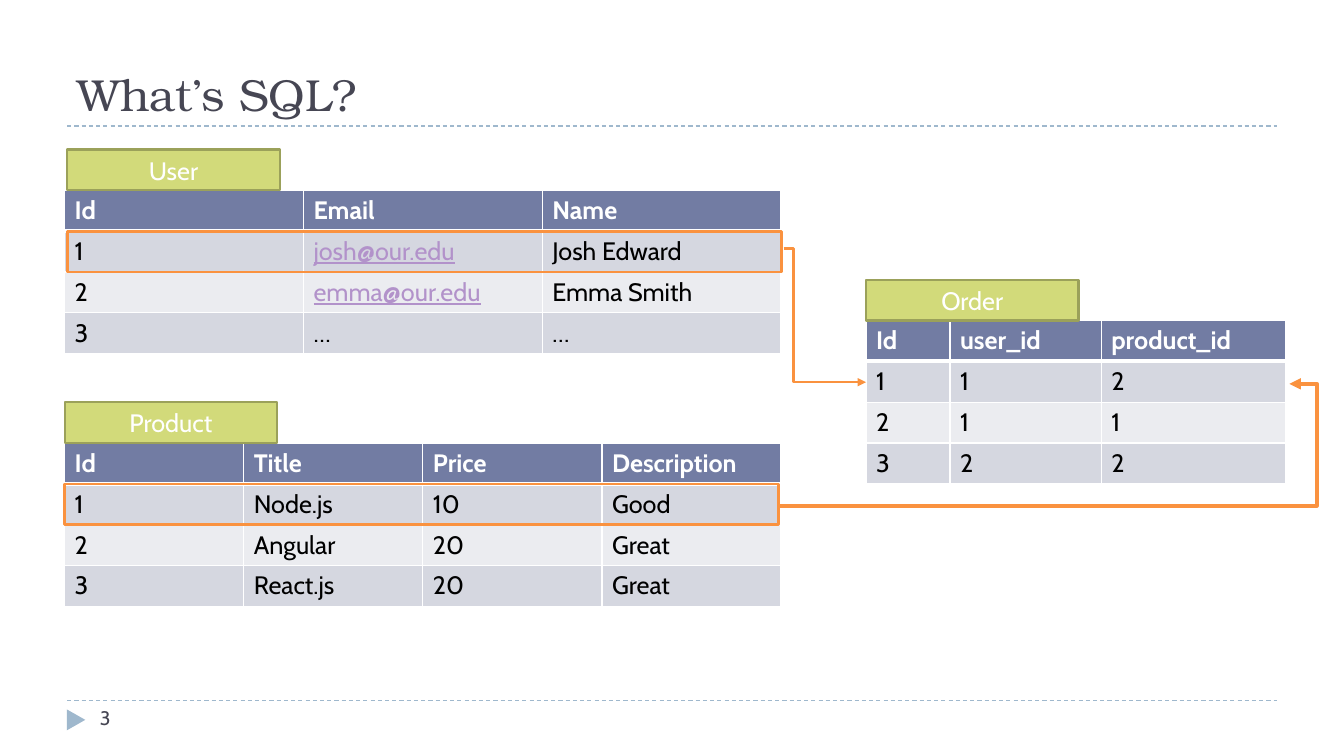
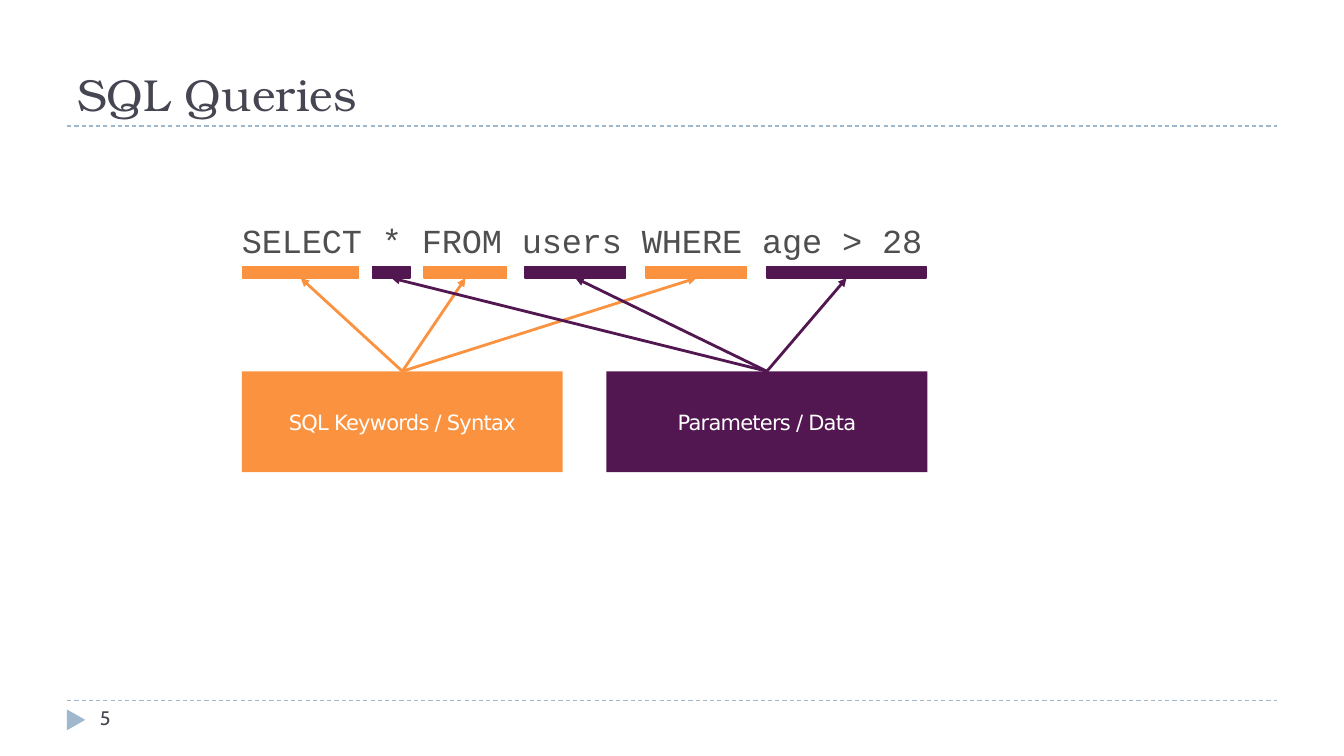
from dataclasses import dataclass

from lxml import etree
from pptx import Presentation
from pptx import util as u
from pptx.dml import color
from pptx.enum import dml, shapes, text
from pptx.oxml import ns

COLUMNS, ROWS = 160, 90
SLIDE_WIDTH, SLIDE_HEIGHT = u.Inches(13.33), u.Inches(7.5)


@dataclass(frozen=True)
class Theme:
    ink: str = "464653"
    rule: str = "9FB8CD"
    header: str = "727CA3"
    odd_row: str = "D5D7E0"
    even_row: str = "EBECF0"
    tag: str = "D2DA7A"
    tag_edge: str = "9BA15A"
    mail: str = "B292CA"
    accent: str = "FA923F"
    data: str = "521751"
    code: str = "4F4F4F"
    white: str = "FFFFFF"
    black: str = "000000"
    title_font: str = "TeX Gyre Bonum"
    body_font: str = "Cabin"
    code_font: str = "Courier New"
    label_font: str = "DejaVu Sans"
    title_size: int = 32
    code_size: int = 24
    body_size: int = 18
    label_size: int = 15
    number_size: int = 14


THEME = Theme()


def across(columns):
    return u.Emu(round(SLIDE_WIDTH * columns / COLUMNS))


def down(rows):
    return u.Emu(round(SLIDE_HEIGHT * rows / ROWS))


@dataclass(frozen=True)
class Box:
    left: float
    top: float
    width: float
    height: float

    @property
    def frame(self):
        return (across(self.left), down(self.top),
                across(self.width), down(self.height))


def rgb(value):
    return color.RGBColor.from_string(value)


def write(frame, words, font, size, ink, bold=False, underline=False,
          align=text.PP_ALIGN.LEFT, spacing=0):
    frame.word_wrap = True
    para = frame.paragraphs[0]
    para.text = words
    para.alignment = align
    span = para.runs[0]
    span.font.name = font
    span.font.size = u.Pt(size)
    span.font.bold = bold
    span.font.underline = underline
    span.font.color.rgb = rgb(ink)
    if spacing:
        span.font._element.set("spc", str(spacing))


def add_block(page, box, fill=None, edge=None, weight=1,
              kind=shapes.MSO_SHAPE.RECTANGLE):
    block = page.shapes.add_shape(kind, *box.frame)
    block.shadow.inherit = False
    if fill:
        block.fill.solid()
        block.fill.fore_color.rgb = rgb(fill)
    else:
        block.fill.background()
    if edge:
        block.line.color.rgb = rgb(edge)
        block.line.width = u.Pt(weight)
    else:
        block.line.fill.background()
    return block


def label_block(block, words, font, size, spacing=0):
    block.text_frame.vertical_anchor = text.MSO_ANCHOR.MIDDLE
    write(block.text_frame, words, font, size, THEME.white,
          align=text.PP_ALIGN.CENTER, spacing=spacing)


def add_line(page, start, end, ink, weight, dash=None, arrow=False, bend=None):
    kind = shapes.MSO_CONNECTOR.ELBOW if bend else shapes.MSO_CONNECTOR.STRAIGHT
    line = page.shapes.add_connector(kind, across(start[0]), down(start[1]),
                                     across(end[0]), down(end[1]))
    line.line.color.rgb = rgb(ink)
    line.line.width = u.Pt(weight)
    if dash:
        line.line.dash_style = dash
    properties = line._element.spPr
    if arrow:
        etree.SubElement(properties.find(ns.qn("a:ln")), ns.qn("a:tailEnd"),
                         type="triangle")
    if bend:
        guides = properties.find(".//" + ns.qn("a:avLst"))
        share = (bend - start[0]) / (end[0] - start[0])
        etree.SubElement(guides, ns.qn("a:gd"), name="adj1",
                         fmla=f"val {round(share * 100000)}")
    etree.SubElement(properties, ns.qn("a:effectLst"))
    return line


def add_page(deck, title, number):
    page = deck.slides.add_slide(deck.slide_layouts[5])
    heading = page.shapes.title
    heading.left, heading.top, heading.width, heading.height = Box(8, 2, 144, 13).frame
    heading.text_frame.vertical_anchor = text.MSO_ANCHOR.BOTTOM
    write(heading.text_frame, title, THEME.title_font, THEME.title_size, THEME.ink)
    for row in (83.4, 15):
        add_line(page, (8, row), (152, row), THEME.rule, 0.75,
                 dash=dml.MSO_LINE.DASH)
    marker = add_block(page, Box(7.8, 84.6, 2.5, 2.2), THEME.rule,
                       kind=shapes.MSO_SHAPE.ISOSCELES_TRIANGLE)
    marker.rotation = 90
    footer = page.shapes.add_textbox(*Box(10.7, 83.4, 34.7, 4.8).frame)
    write(footer.text_frame, str(number), THEME.body_font, THEME.number_size, THEME.ink)
    return page


def border_cell(cell, row):
    properties = cell._tc.get_or_add_tcPr()
    weights = {"L": 1, "R": 1, "T": 3 if row == 1 else 1, "B": 3 if row == 0 else 1}
    for place, (side, weight) in enumerate(weights.items()):
        edge = etree.Element(ns.qn(f"a:ln{side}"), w=str(u.Pt(weight)))
        fill = etree.SubElement(edge, ns.qn("a:solidFill"))
        etree.SubElement(fill, ns.qn("a:srgbClr"), val=THEME.white)
        properties.insert(place, edge)


def add_entity(page, box, name, records, widths, shift=0, outlined=False):
    step = box.height / (len(records) + 1)
    grid_box = Box(box.left, box.top + step, box.width, step * len(records))
    table = page.shapes.add_table(len(records), len(widths), *grid_box.frame).table
    for column, share in zip(table.columns, widths):
        column.width = across(box.width * share / sum(widths))
    for row, record in enumerate(records):
        table.rows[row].height = down(step)
        banding = THEME.odd_row if row % 2 else THEME.even_row
        for column, words in enumerate(record):
            cell = table.cell(row, column)
            cell.fill.solid()
            cell.fill.fore_color.rgb = rgb(banding if row else THEME.header)
            border_cell(cell, row)
            mail = "@" in words
            ink = THEME.mail if mail else THEME.black if row else THEME.white
            write(cell.text_frame, words, THEME.body_font, THEME.body_size, ink,
                  bold=row == 0, underline=mail)
    if outlined:
        add_block(page, Box(box.left + shift, box.top + 2 * step, 85, step),
                  edge=THEME.accent, weight=2)
    tag = add_block(page, Box(box.left + shift, box.top, 25.3, step),
                    THEME.tag, THEME.tag_edge, 1.5)
    label_block(tag, name, THEME.body_font, THEME.body_size)


def build_tables(deck):
    page = add_page(deck, "What’s SQL?", 3)
    add_entity(page, Box(7.7, 17.8, 85.3, 24.3), "User", [
        ("Id", "Email", "Name"),
        ("1", "josh@our.edu", "Josh Edward"),
        ("2", "emma@our.edu", "Emma Smith"),
        ("3", "…", "…"),
    ], (1, 1, 1), shift=0.3, outlined=True)
    add_entity(page, Box(103.1, 33.3, 50, 24.3), "Order", [
        ("Id", "user_id", "product_id"),
        ("1", "1", "2"),
        ("2", "1", "1"),
        ("3", "2", "2"),
    ], (10, 18, 22))
    add_entity(page, Box(7.7, 47.9, 85.3, 24.3), "Product", [
        ("Id", "Title", "Price", "Description"),
        ("1", "Node.js", "10", "Good"),
        ("2", "Angular", "20", "Great"),
        ("3", "React.js", "20", "Great"),
    ], (1, 1, 1, 1), outlined=True)
    add_line(page, (93.3, 29.6), (103.1, 45.5), THEME.accent, 1.9,
             arrow=True, bend=94.5)
    add_line(page, (92.7, 60.2), (153.5, 45.7), THEME.accent, 2.75,
             arrow=True, bend=156.8)


def add_query(page, box, words):
    query = page.shapes.add_textbox(*box.frame)
    frame = query.text_frame
    frame.margin_left = frame.margin_right = frame.margin_bottom = 0
    frame.margin_top = u.Pt(1)
    write(frame, " ".join(word for word, *_ in words), THEME.code_font,
          THEME.code_size, THEME.code, spacing=-10)
    character = 2.4
    bars = []
    for _, ink, start, length in words:
        bar_box = Box(box.left + 0.1 + start * character, box.top + 5.7,
                      length * character, 1.4)
        bars.append((ink, add_block(page, bar_box, ink, ink)))
    return bars


def add_legend(page, box, words, ink, bars):
    legend = add_block(page, box, ink)
    label_block(legend, words, THEME.label_font, THEME.label_size, spacing=-55)
    for bar_ink, bar in bars:
        if bar_ink == ink:
            arrow = add_line(page, (box.left, box.top), (box.left, box.top),
                             ink, 2, arrow=True)
            arrow.begin_connect(legend, 0)
            arrow.end_connect(bar, 2)


def build_queries(deck):
    page = add_page(deck, "SQL Queries", 5)
    bars = add_query(page, Box(28.8, 26, 82, 5.2), [
        ("SELECT", THEME.accent, 0, 5.75),
        ("*", THEME.data, 6.45, 1.85),
        ("FROM", THEME.accent, 9, 4.1),
        ("users", THEME.data, 14, 5),
        ("WHERE", THEME.accent, 20, 5),
        ("age > 28", THEME.data, 26, 7.9),
    ])
    legends = [("SQL Keywords / Syntax", THEME.accent),
               ("Parameters / Data", THEME.data)]
    for place, (words, ink) in enumerate(legends):
        add_legend(page, Box(28.8 + 43.4 * place, 44.2, 38.2, 12), words, ink, bars)


def main():
    deck = Presentation()
    deck.slide_width, deck.slide_height = SLIDE_WIDTH, SLIDE_HEIGHT
    build_tables(deck)
    build_queries(deck)
    deck.save("out.pptx")


if __name__ == "__main__":
    main()
